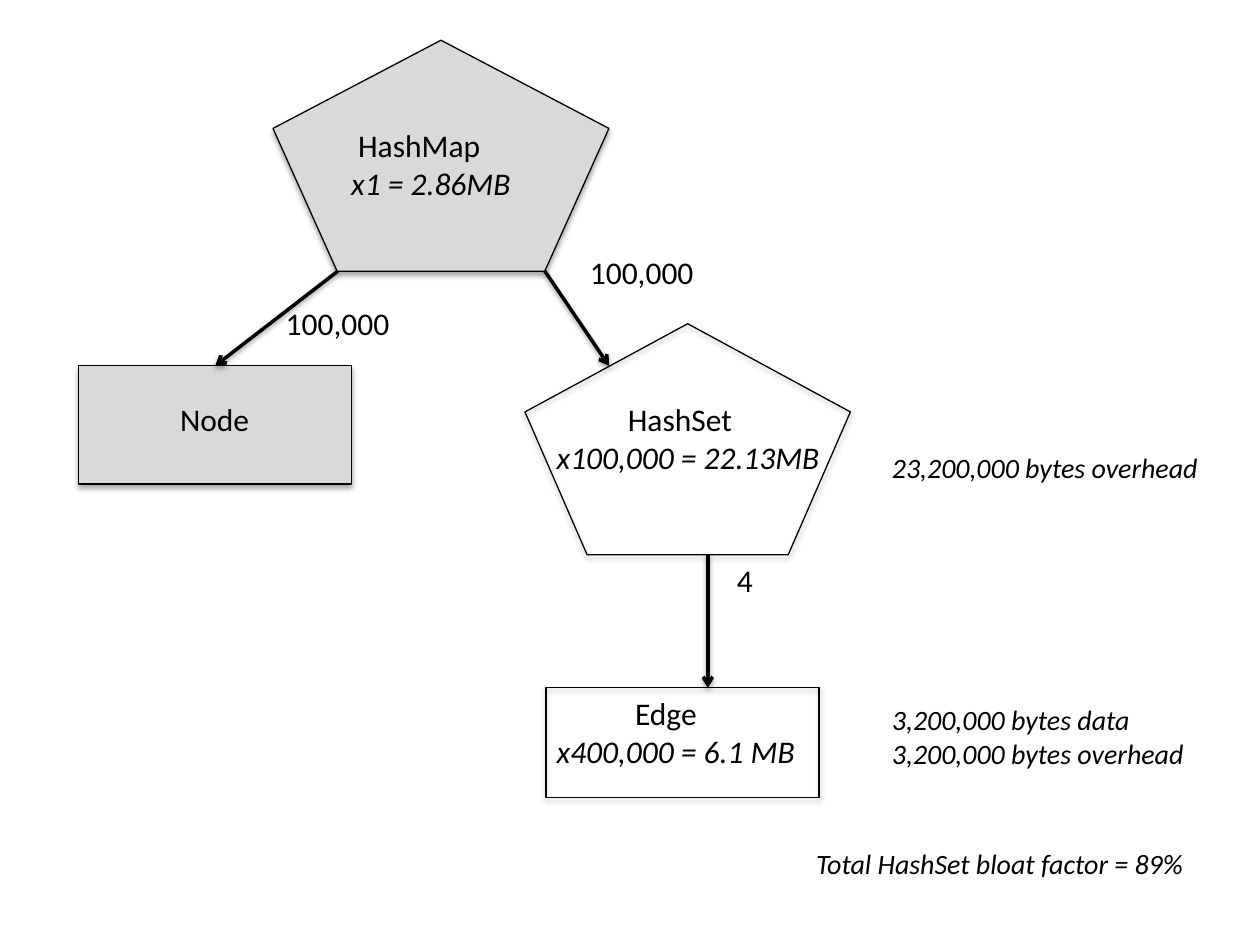
from dataclasses import dataclass

from lxml import etree
from pptx import Presentation
from pptx.dml.color import RGBColor
from pptx.enum.shapes import MSO_CONNECTOR, MSO_SHAPE
from pptx.oxml.ns import qn
from pptx.util import Pt

PENTAGON = MSO_SHAPE.REGULAR_PENTAGON
RECTANGLE = MSO_SHAPE.RECTANGLE
STRAIGHT = MSO_CONNECTOR.STRAIGHT


@dataclass(frozen=True)
class Theme:
    """Colours, type and line sizes of the diagram."""
    ink: RGBColor = RGBColor(0, 0, 0)
    shade: RGBColor = RGBColor(0xD9, 0xD9, 0xD9)
    font: str = "Calibri"
    label_size: float = 18
    note_size: float = 16
    outline: float = 0.75
    arrow: float = 2


class Diagram:
    """Draws the elements of a memory diagram on one slide."""

    def __init__(self, slide, theme):
        """Keep the slide and the style."""
        self.shapes = slide.shapes
        self.theme = theme

    def cast_shadow(self, element, opacity, distance):
        """Give a shape or connector a soft shadow straight below it."""
        properties = element._element.spPr
        for old in properties.findall(qn("a:effectLst")):
            properties.remove(old)
        effects = etree.SubElement(properties, qn("a:effectLst"))
        shadow = etree.SubElement(
            effects, qn("a:outerShdw"), blurRad=str(Pt(3.1)),
            dist=str(Pt(distance)), dir="5400000", rotWithShape="0")
        colour = etree.SubElement(shadow, qn("a:srgbClr"), val=str(self.theme.ink))
        etree.SubElement(colour, qn("a:alpha"), val=str(opacity * 1000))

    def stroke(self, element, width):
        """Set the line of an element."""
        element.line.color.rgb = self.theme.ink
        element.line.width = Pt(width)

    def node(self, kind, left, top, width, height, shaded=False):
        """Draw a pentagon for a collection or a rectangle for a plain object."""
        node = self.shapes.add_shape(kind, Pt(left), Pt(top), Pt(width), Pt(height))
        if shaded:
            node.fill.solid()
            node.fill.fore_color.rgb = self.theme.shade
        else:
            node.fill.background()
        self.stroke(node, self.theme.outline)
        self.cast_shadow(node, 35, 1.8)

    def reference(self, x1, y1, x2, y2):
        """Draw an arrow from an owner to what it refers to."""
        arrow = self.shapes.add_connector(STRAIGHT, Pt(x1), Pt(y1), Pt(x2), Pt(y2))
        self.stroke(arrow, self.theme.arrow)
        etree.SubElement(arrow.line._get_or_add_ln(), qn("a:tailEnd"), type="arrow")
        self.cast_shadow(arrow, 38, 1.6)

    def text(self, left, top, width, height, lines, size, indent=0):
        """Write (words, italic) lines; the first one is indented."""
        box = self.shapes.add_textbox(Pt(left), Pt(top), Pt(width), Pt(height))
        frame = box.text_frame
        frame.word_wrap = True
        frame.margin_right = 0
        for number, (words, italic) in enumerate(lines):
            paragraph = frame.add_paragraph() if number else frame.paragraphs[0]
            if indent and not number:
                paragraph._p.get_or_add_pPr().set("indent", str(Pt(indent)))
            run = paragraph.add_run()
            run.text = words
            run.font.name = self.theme.font
            run.font.size = Pt(size)
            run.font.italic = italic
            run.font.color.rgb = self.theme.ink

    def label(self, left, top, width, name, usage=None, indent=0):
        """Write a name or count, with the memory it uses below."""
        lines = [(name, False)] + ([(usage, True)] if usage else [])
        self.text(left, top, width, 51 if usage else 29, lines,
                  self.theme.label_size, indent)

    def note(self, left, top, width, *lines):
        """Write an italic remark on the cost."""
        self.text(left, top, width, 7.2 + 19.5 * len(lines),
                  [(line, True) for line in lines], self.theme.note_size)


def main():
    """Build and save the slide."""
    deck = Presentation()
    deck.slide_width, deck.slide_height = Pt(720), Pt(540)
    diagram = Diagram(deck.slides.add_slide(deck.slide_layouts[6]), Theme())

    diagram.node(PENTAGON, 156, 23, 192, 132, shaded=True)
    diagram.node(PENTAGON, 300, 185, 186, 132)
    diagram.node(RECTANGLE, 312, 393, 156, 62.6)
    diagram.node(RECTANGLE, 45, 209, 156, 67.6, shaded=True)

    diagram.reference(311.4, 155, 348, 209)
    diagram.reference(404.5, 317, 404.5, 393)
    diagram.reference(193, 155, 123, 209)

    diagram.label(193.6, 68.4, 111, "HashMap", "x1 = 2.86MB", indent=4)
    diagram.label(311, 225.2, 171, "HashSet", "x100,000 = 22.13MB", indent=40.7)
    diagram.label(311, 393, 156, "Edge", "x400,000 = 6.1 MB", indent=44.8)
    diagram.label(95.8, 225.2, 55, "Node")
    diagram.label(156.2, 170, 74, "100,000")
    diagram.label(330, 141, 74, "100,000")
    diagram.label(414, 317, 24, "4")

    diagram.note(502.6, 254, 202, "23,200,000 bytes overhead")
    diagram.note(502.6, 398, 187, "3,200,000 bytes data", "3,200,000 bytes overhead")
    diagram.note(459.2, 480.4, 231, "Total HashSet bloat factor = 89%")

    deck.save("out.pptx")


main()
